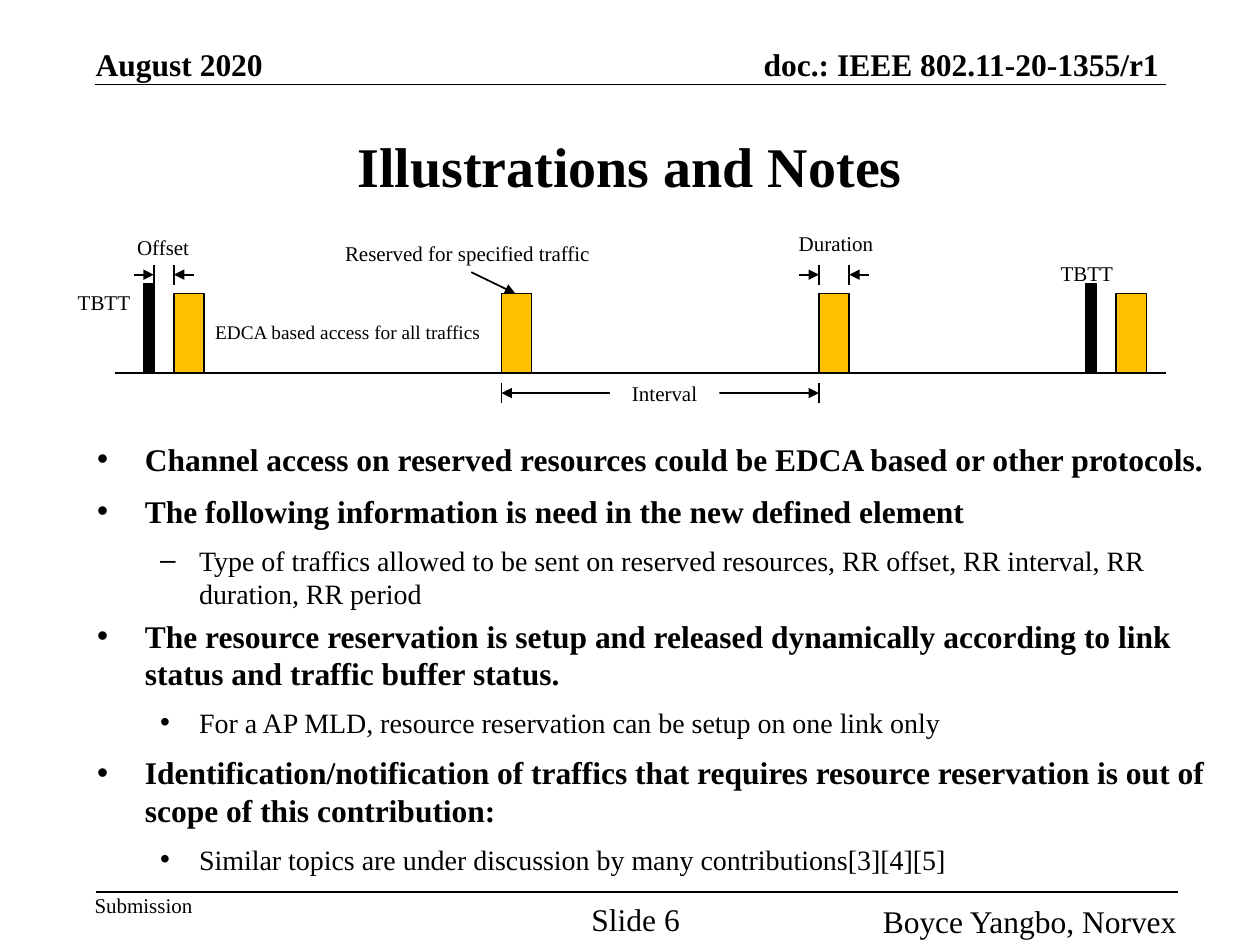
from typing import NamedTuple

from lxml.etree import SubElement
from pptx import Presentation
from pptx.dml.color import RGBColor
from pptx.enum.shapes import MSO_CONNECTOR, MSO_SHAPE
from pptx.enum.text import MSO_ANCHOR, MSO_AUTO_SIZE, PP_ALIGN
from pptx.oxml.ns import qn
from pptx.util import Emu, Pt

EMU_PER_PX = 9144  # 100 px to the inch
FONT = "Times New Roman"
COLORS = {"ink": "000000", "reserved": "FFC000", "paper": "FFFFFF"}
LEFT, CENTER, RIGHT = PP_ALIGN.LEFT, PP_ALIGN.CENTER, PP_ALIGN.RIGHT
TOP, MIDDLE, BOTTOM = MSO_ANCHOR.TOP, MSO_ANCHOR.MIDDLE, MSO_ANCHOR.BOTTOM


class Box(NamedTuple):
    left: int
    top: int
    width: int
    height: int


class Label(NamedTuple):
    text: str
    box: Box
    size: int = 12
    align: PP_ALIGN = CENTER


class Margin(NamedTuple):
    """Header or footer text, set without insets or wrapping."""
    text: str
    box: Box
    size: int
    align: PP_ALIGN
    anchor: MSO_ANCHOR = TOP
    bold: bool = False


class Line(NamedTuple):
    x1: int
    y1: int
    x2: int
    y2: int
    head: bool = False
    tail: bool = False


class Note(NamedTuple):
    text: str
    level: int = 0
    bullet: str = "•"
    after: float = 4.5


class LevelStyle(NamedTuple):
    size: int
    bold: bool
    margin: int
    hanging: int


LEVELS = [LevelStyle(18, True, 38, 38), LevelStyle(16, False, 81, 31)]

# Timeline geometry
AXIS_Y, ARROW_Y, INTERVAL_Y = 296, 218, 312
TICK, ARROW = 8, 16
BEACONS = [114, 862]
WINDOWS = [138, 398, 650, 886]
WINDOW_WIDTH = 24

MARGINS = [
    Margin("doc.: IEEE 802.11-20-1355/r1", Box(553, 36, 367, 30), 18, RIGHT, BOTTOM, True),
    Margin("August 2020", Box(76, 36, 134, 30), 18, LEFT, BOTTOM, True),
    Margin("Submission", Box(75, 708, 79, 20), 12, LEFT),
    Margin("Slide 6", Box(475, 714, 59, 20), 18, CENTER),
    Margin("Boyce Yangbo, Norvex", Box(791, 716, 143, 20), 18, RIGHT),
]
RULES = [Line(75, 67, 925, 67), Line(76, 708, 935, 708)]

LABELS = [
    Label("TBTT", Box(43, 225, 79, 30)),
    Label("TBTT", Box(823, 202, 79, 30)),
    Label("EDCA based access for all traffics", Box(161, 249, 236, 29), 11, LEFT),
    Label("Reserved for specified traffic", Box(264, 186, 220, 30), 12, LEFT),
    Label("Duration", Box(620, 178, 87, 30)),
    Label("Offset", Box(86, 181, 87, 30)),
]
INTERVAL = Label("Interval", Box(484, 297, 87, 30))

NOTES = [
    Note("Channel access on reserved resources could be EDCA based or other protocols."),
    Note("The following information is need in the new defined element"),
    Note("Type of traffics allowed to be sent on reserved resources, RR offset, "
         "RR interval, RR duration, RR period", 1, "–", 0),
    Note("The resource reservation is setup and released dynamically according to "
         "link status and traffic buffer status."),
    Note("For a AP MLD, resource reservation can be setup on one link only", 1),
    Note("Identification/notification of traffics that requires resource reservation "
         "is out of scope of this contribution:"),
    Note("Similar topics are under discussion by many contributions[3][4][5]", 1),
]


def px(length: int) -> Emu:
    return Emu(length * EMU_PER_PX)


def color(name: str) -> RGBColor:
    return RGBColor.from_string(COLORS[name])


def place(shape, box: Box) -> None:
    shape.left, shape.top, shape.width, shape.height = map(px, box)


def style_runs(para, size: int, bold: bool = False) -> None:
    for span in para.runs:
        span.font.name, span.font.size, span.font.bold = FONT, Pt(size), bold
        span.font.color.rgb = color("ink")


def write(shape, text: str, size: int, align: PP_ALIGN, anchor: MSO_ANCHOR = TOP,
          bold: bool = False) -> None:
    frame = shape.text_frame
    frame.text = text
    frame.word_wrap, frame.auto_size = True, MSO_AUTO_SIZE.NONE
    frame.vertical_anchor = anchor
    frame.paragraphs[0].alignment = align
    style_runs(frame.paragraphs[0], size, bold)


def draw_label(page, label: Label) -> None:
    write(page.shapes.add_textbox(*map(px, label.box)), label.text, label.size, label.align)


def draw_margin(page, margin: Margin) -> None:
    shape = page.shapes.add_textbox(*map(px, margin.box))
    write(shape, margin.text, margin.size, margin.align, margin.anchor, margin.bold)
    frame = shape.text_frame
    frame.word_wrap = False
    frame.margin_left = frame.margin_right = frame.margin_top = frame.margin_bottom = 0


def draw_bar(page, box: Box, fill: str, outlined: bool = True):
    bar = page.shapes.add_shape(MSO_SHAPE.RECTANGLE, *map(px, box))
    bar.shadow.inherit = False
    bar.fill.solid()
    bar.fill.fore_color.rgb = color(fill)
    if outlined:
        bar.line.color.rgb, bar.line.width = color("ink"), Pt(1)
    else:
        bar.line.fill.background()
    return bar


def draw_line(page, line: Line) -> None:
    connector = page.shapes.add_connector(MSO_CONNECTOR.STRAIGHT, *map(px, line[:4]))
    connector.line.color.rgb, connector.line.width = color("ink"), Pt(1)
    outline = connector.line._get_or_add_ln()
    for tag, shown in (("a:headEnd", line.head), ("a:tailEnd", line.tail)):
        if shown:
            SubElement(outline, qn(tag), type="triangle")
    SubElement(connector._element.spPr, qn("a:effectLst"))


def ticks(y: int, *positions: int) -> list[Line]:
    return [Line(x, y - TICK, x, y + TICK) for x in positions]


def gap_marks(start: int, end: int) -> list[Line]:
    """Two ticks with arrows pointing inwards from outside."""
    return ticks(ARROW_Y, start, end) + [
        Line(start - ARROW, ARROW_Y, start, ARROW_Y, tail=True),
        Line(end, ARROW_Y, end + ARROW, ARROW_Y, head=True),
    ]


def fill_notes(body) -> None:
    frame = body.text_frame
    frame.auto_size, frame.vertical_anchor = MSO_AUTO_SIZE.NONE, TOP
    for index, note in enumerate(NOTES):
        para = frame.add_paragraph() if index else frame.paragraphs[0]
        style = LEVELS[note.level]
        para.text, para.level = note.text, note.level
        properties = para._p.get_or_add_pPr()
        properties.set("marL", str(px(style.margin)))
        properties.set("indent", str(px(-style.hanging)))
        SubElement(properties, qn("a:buChar"), char=note.bullet)
        para.space_before = Pt(style.size / 5 if index else 0)
        para.space_after = Pt(note.after)
        style_runs(para, style.size, style.bold)


def main() -> None:
    deck = Presentation()
    deck.slide_width, deck.slide_height = px(1000), px(750)
    page = deck.slides.add_slide(deck.slide_layouts[1])

    # Title and notes
    title, body = page.placeholders
    place(title, Box(75, 99, 850, 64))
    write(title, "Illustrations and Notes", 32, CENTER, MIDDLE, True)
    place(body, Box(67, 344, 921, 362))
    fill_notes(body)

    # Header and footer
    for margin in MARGINS:
        draw_margin(page, margin)

    # Timeline bars and labels
    for left in BEACONS:
        draw_bar(page, Box(left, 225, 8, AXIS_Y - 225), "ink")
    for left in WINDOWS:
        draw_bar(page, Box(left, 233, WINDOW_WIDTH, AXIS_Y - 233), "reserved")
    for label in LABELS:
        draw_label(page, label)

    # Rules, axis, pointer and dimension marks
    first, second, third, _ = WINDOWS
    lines = RULES + [
        Line(91, AXIS_Y, 925, AXIS_Y),
        Line(374, 216, 409, 233, tail=True),
        Line(second, INTERVAL_Y, third, INTERVAL_Y, head=True, tail=True),
    ]
    lines += ticks(INTERVAL_Y, second, third)
    lines += gap_marks(BEACONS[0] + 8, first) + gap_marks(third, third + WINDOW_WIDTH)
    for line in lines:
        draw_line(page, line)

    # Interval caption breaks its arrow
    caption = draw_bar(page, INTERVAL.box, "paper", outlined=False)
    write(caption, INTERVAL.text, INTERVAL.size, INTERVAL.align)

    deck.save("out.pptx")


if __name__ == "__main__":
    main()
